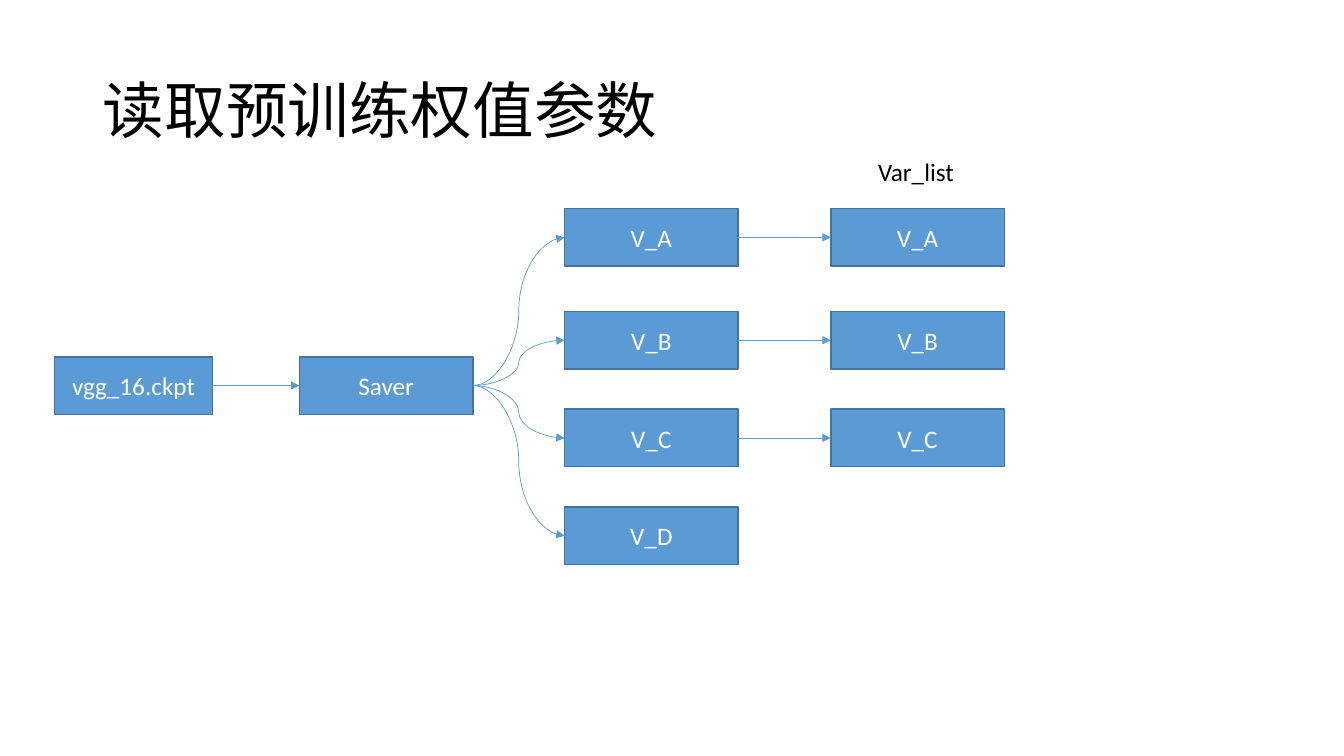
from dataclasses import dataclass
from lxml import etree
from pptx import Presentation
from pptx.dml.color import RGBColor
from pptx.enum.shapes import MSO_CONNECTOR, MSO_SHAPE
from pptx.enum.text import MSO_ANCHOR, PP_ALIGN
from pptx.oxml.ns import qn
from pptx.util import Inches, Pt

RECT = MSO_SHAPE.RECTANGLE
LINE, CURVE = MSO_CONNECTOR.STRAIGHT, MSO_CONNECTOR.CURVE
LEFT, MID = PP_ALIGN.LEFT, PP_ALIGN.CENTER
TOP, CENTER = MSO_ANCHOR.TOP, MSO_ANCHOR.MIDDLE
LEFT_SITE, RIGHT_SITE = 1, 3


@dataclass
class Theme:
    font: str = "Calibri"
    fill: str = "5B9BD5"
    edge: str = "43739E"
    ink: str = "000000"
    pale: str = "FFFFFF"
    head: int = 44
    body: int = 18


theme = Theme()

TITLE = "读取预训练权值参数"
SOURCE, SAVER, LABEL = "vgg_16.ckpt", "Saver", "Var_list"
SAVED = ["V_A", "V_B", "V_C", "V_D"]
WANTED = SAVED[:3]

ROWS = [2.07, 3.09, 4.06, 5.03]
MAIN_ROW = 3.54
SOURCE_X, SAVER_X, SAVED_X, WANTED_X = 0.54, 2.97, 5.6, 8.24
SOURCE_W, BOX_W, BOX_H = 1.57, 1.72, 0.57

deck = Presentation()
deck.slide_width, deck.slide_height = Inches(13.33), Inches(7.5)
slide = deck.slides.add_slide(deck.slide_layouts[5])
shapes = slide.shapes


def write(shape, text, size=theme.body, color=theme.ink, align=LEFT,
          anchor=TOP, space=1.0):
    frame = shape.text_frame
    frame.word_wrap = True
    frame.vertical_anchor = anchor
    para = frame.paragraphs[0]
    para.alignment, para.line_spacing = align, space
    run = para.add_run()
    run.text = text
    run.font.name, run.font.size = theme.font, Pt(size)
    run.font.color.rgb = RGBColor.from_string(color)


def box(text, x, y, width=BOX_W):
    shape = shapes.add_shape(RECT, *map(Inches, (x, y, width, BOX_H)))
    shape.shadow.inherit = False
    shape.fill.solid()
    shape.fill.fore_color.rgb = RGBColor.from_string(theme.fill)
    shape.line.color.rgb = RGBColor.from_string(theme.edge)
    shape.line.width = Pt(1)
    write(shape, text, color=theme.pale, align=MID, anchor=CENTER)
    return shape


def link(start, end, kind=LINE):
    y1 = start.top + start.height // 2
    y2 = end.top + end.height // 2
    wire = shapes.add_connector(kind, start.left + start.width, y1, end.left, y2)
    wire.begin_connect(start, RIGHT_SITE)
    wire.end_connect(end, LEFT_SITE)
    wire.line.color.rgb = RGBColor.from_string(theme.fill)
    wire.line.width = Pt(0.5)
    etree.SubElement(wire.line._get_or_add_ln(), qn("a:tailEnd"), type="triangle")
    etree.SubElement(wire._element.spPr, qn("a:effectLst"))


title = shapes.title
title.left, title.top, title.width, title.height = map(
    Inches, (0.92, 0.4, 11.5, 1.45))
write(title, TITLE, size=theme.head, anchor=CENTER, space=0.9)

source = box(SOURCE, SOURCE_X, MAIN_ROW, SOURCE_W)
saver = box(SAVER, SAVER_X, MAIN_ROW)
link(source, saver)

saved = [box(name, SAVED_X, y) for name, y in zip(SAVED, ROWS)]
for item in saved:
    link(saver, item, CURVE)

wanted = [box(name, WANTED_X, y) for name, y in zip(WANTED, ROWS)]
for start, end in zip(saved, wanted):
    link(start, end)

label = shapes.add_textbox(*map(Inches, (8.61, 1.5, BOX_W, 0.4)))
write(label, LABEL)

deck.save("out.pptx")
